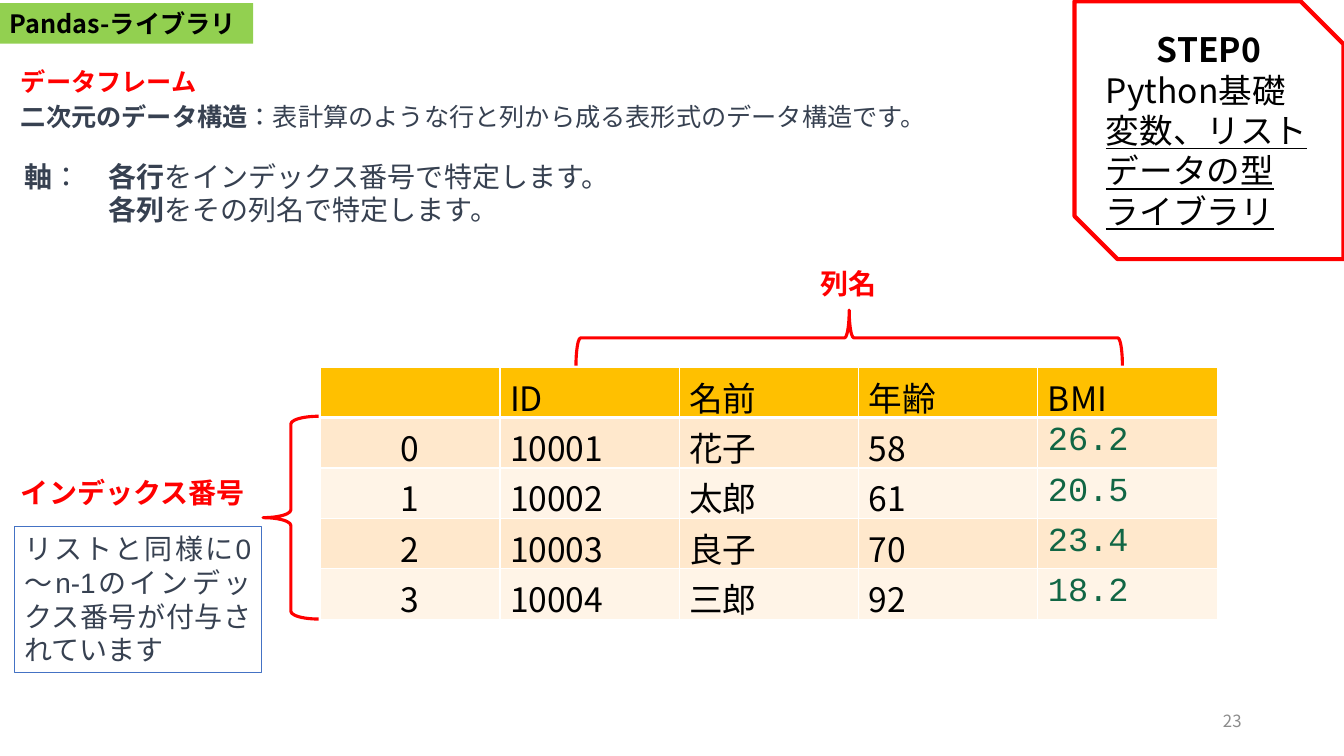
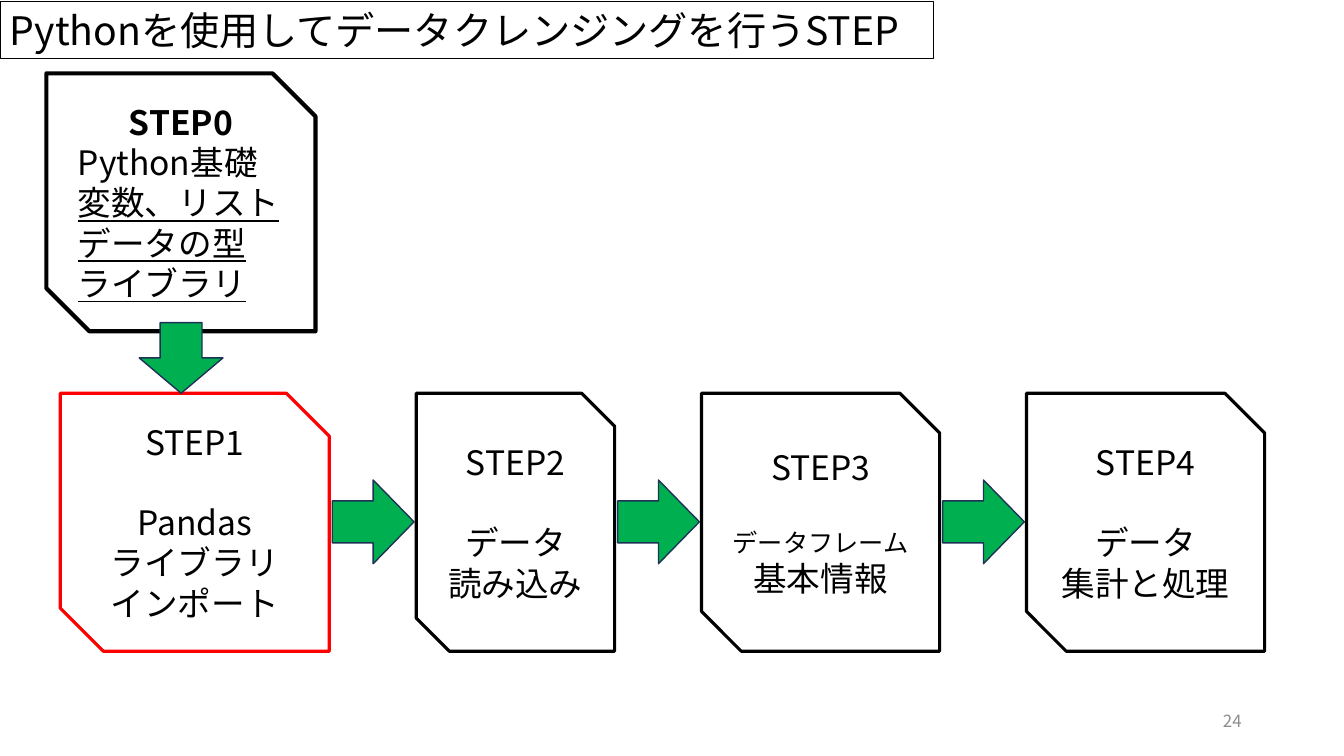
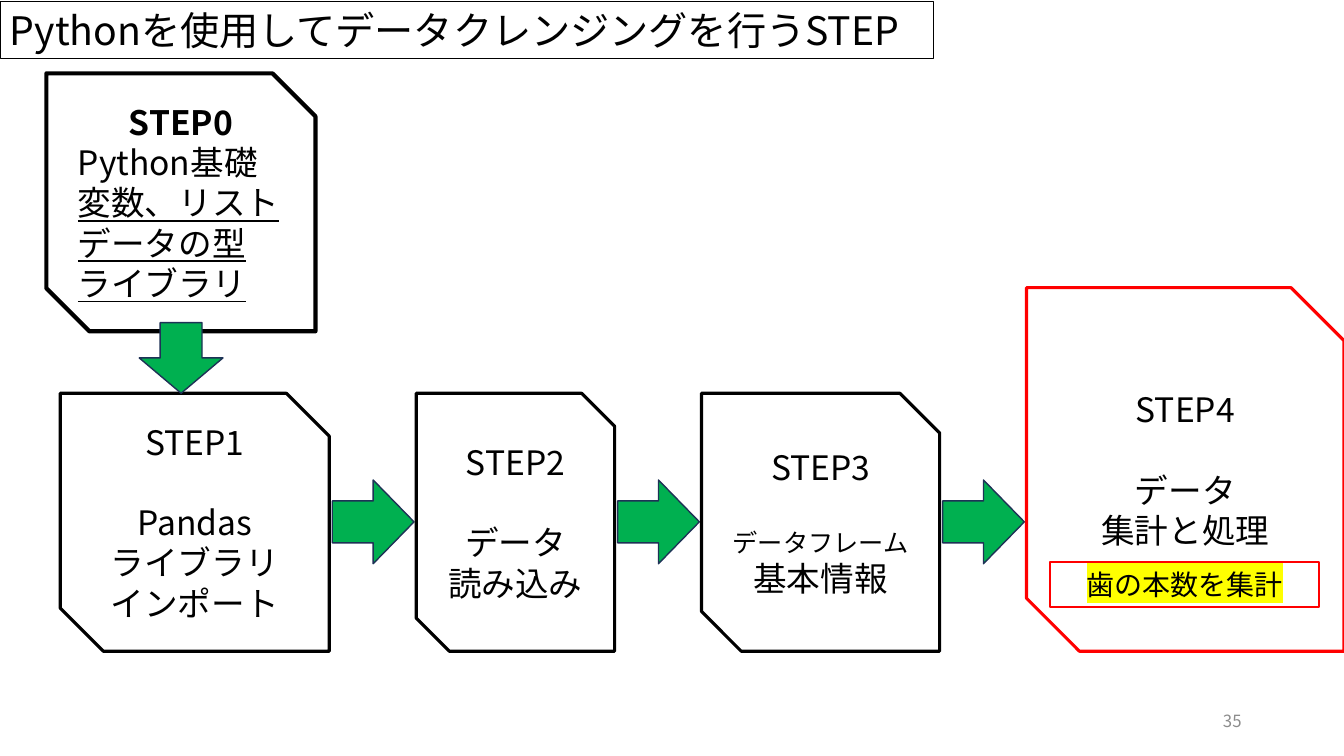
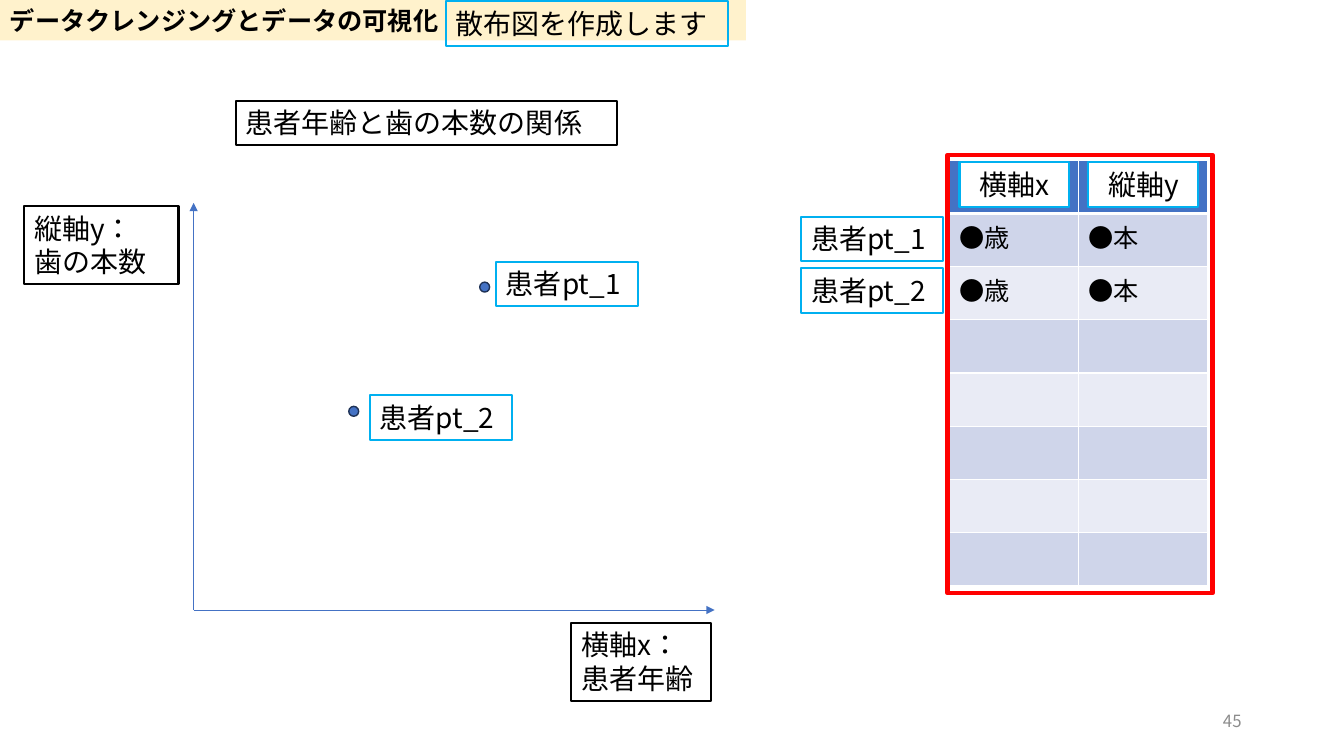
from pptx import Presentation
from pptx.dml.color import RGBColor
from pptx.enum.lang import MSO_LANGUAGE_ID
from pptx.enum.shapes import MSO_CONNECTOR, MSO_SHAPE
from pptx.enum.text import MSO_ANCHOR, MSO_AUTO_SIZE, PP_ALIGN
from pptx.oxml.ns import qn
from pptx.util import Cm, Pt
from lxml.etree import SubElement, Element

BLACK = RGBColor(0x00, 0x00, 0x00)
WHITE = RGBColor(0xFF, 0xFF, 0xFF)
RED = RGBColor(0xFF, 0x00, 0x00)
SLATE = RGBColor(0x37, 0x41, 0x51)
GRAY = RGBColor(0x8C, 0x8C, 0x8C)
BLUE = RGBColor(0x44, 0x72, 0xC4)
SKY = RGBColor(0x00, 0xB0, 0xF0)
NAVY = RGBColor(0x1E, 0x32, 0x56)
GREEN = RGBColor(0x00, 0xB0, 0x50)
LIME = RGBColor(0x92, 0xD0, 0x50)
CREAM = RGBColor(0xFF, 0xF2, 0xCC)
YELLOW = RGBColor(0xFF, 0xFF, 0x00)
CODE_GREEN = RGBColor(0x11, 0x66, 0x44)
AMBER = RGBColor(0xFF, 0xC0, 0x00)
AMBER_BANDS = (RGBColor(0xFF, 0xE8, 0xCC), RGBColor(0xFF, 0xF4, 0xE7))
BLUE_BANDS = (RGBColor(0xCF, 0xD5, 0xEA), RGBColor(0xE9, 0xEB, 0xF5))

CJK = "Noto Sans CJK JP"
LEFT, CENTER, RIGHT, JUSTIFY = PP_ALIGN.LEFT, PP_ALIGN.CENTER, PP_ALIGN.RIGHT, PP_ALIGN.JUSTIFY
BLANK_LINE = 28.8

STEP_TOP, STEP_BOTTOM, STEP_GAP = 9.91, 16.41, 2.19
STEPS = [
    (6.78, ["STEP1", "Pandas", "ライブラリ", "インポート"]),
    (5, ["STEP2", "データ", "読み込み"]),
    (6, ["STEP3", [("データフレーム", {"size": 18}), "基本情報"]]),
    (6, ["STEP4", "データ", "集計と処理"]),
]


def add_text(p, text, size=20, color=BLACK, font=CJK, bold=False, underline=False, highlight=None):
    """Add one formatted run to a paragraph."""
    r = p.add_run()
    r.text = text
    f = r.font
    f.language_id = MSO_LANGUAGE_ID.JAPANESE
    f.size, f.bold, f.underline = Pt(size), bold, underline
    f.color.rgb = color
    rPr = r._r.get_or_add_rPr()
    if highlight is not None:
        mark = SubElement(rPr, qn("a:highlight"))
        SubElement(mark, qn("a:srgbClr")).set("val", str(highlight))
    f.name = font
    SubElement(rPr, qn("a:ea")).set("typeface", CJK)


def add_para(tf, runs, align=LEFT, before=0, indent=0, **fmt):
    """Fill the first empty paragraph or add one; runs is text or a list of runs."""
    p = tf.paragraphs[0]
    if p.runs:
        p = tf.add_paragraph()
    p.alignment = align
    if before:
        p.space_before = Pt(before)
    if indent:
        p._p.get_or_add_pPr().set("marL", str(Cm(indent)))
    for run in [runs] if isinstance(runs, str) else runs:
        text, own = (run, {}) if isinstance(run, str) else run
        add_text(p, text, **{**fmt, **own})


def paint(sp, fill=None, line=None, width=1.0):
    """Set fill and outline; None means none."""
    if fill is None:
        sp.fill.background()
    else:
        sp.fill.solid()
        sp.fill.fore_color.rgb = fill
    if line is None:
        sp.line.fill.background()
    else:
        sp.line.color.rgb = line
        sp.line.width = Pt(width)


def add_box(s, at, *lines, fill=None, line=None, width=1.5, **fmt):
    """Add a text box with one paragraph per line."""
    sp = s.shapes.add_textbox(*map(Cm, at))
    paint(sp, fill, line, width)
    tf = sp.text_frame
    tf.word_wrap = True
    tf.auto_size = MSO_AUTO_SIZE.SHAPE_TO_FIT_TEXT
    for text in lines:
        add_para(tf, text, **fmt)
    return sp


def add_figure(s, kind, at, rotation=0, **look):
    """Add a preset shape without shadow."""
    sp = s.shapes.add_shape(kind, *map(Cm, at))
    sp.shadow.inherit = False
    sp.rotation = rotation
    paint(sp, **look)
    return sp


def add_arrow(s, at, rotation=0):
    """Add a green block arrow."""
    add_figure(s, MSO_SHAPE.DOWN_ARROW, at, rotation, fill=GREEN, line=NAVY)


def add_axis(s, start, end):
    """Add a thin axis line with an arrowhead."""
    c = s.shapes.add_connector(MSO_CONNECTOR.STRAIGHT, *map(Cm, start + end))
    c.line.color.rgb = BLUE
    c.line.width = Pt(0.5)
    SubElement(c.line._get_or_add_ln(), qn("a:tailEnd")).set("type", "triangle")
    SubElement(c._element.spPr, qn("a:effectLst"))


def add_step(s, at, lines, color):
    """Add a step card: heading, gap, then its lines."""
    sp = add_figure(s, MSO_SHAPE.SNIP_2_DIAG_RECTANGLE, at, fill=WHITE, line=color, width=2.25)
    sp.text_frame.word_wrap = True
    for i, text in enumerate(lines):
        add_para(sp.text_frame, text, CENTER, before=BLANK_LINE if i == 1 else 0, size=24)


def add_basics(s, left, top, color):
    """Add the STEP0 card."""
    sp = add_figure(s, MSO_SHAPE.SNIP_2_DIAG_RECTANGLE, (left, top, 6.78, 6.5),
                    fill=WHITE, line=color, width=3)
    tf = sp.text_frame
    tf.word_wrap = True
    add_para(tf, "STEP0", CENTER, size=24, bold=True)
    add_para(tf, "Python基礎", JUSTIFY, size=24)
    for topic in ("変数、リスト", "データの型", "ライブラリ"):
        add_para(tf, topic, size=24, underline=True)


def add_borders(cell, top, bottom):
    """Give a cell white borders."""
    tcPr = cell._tc.get_or_add_tcPr()
    for i, (side, width) in enumerate((("L", 1), ("R", 1), ("T", top), ("B", bottom))):
        ln = Element(qn("a:ln" + side), w=str(Pt(width)))
        fill = SubElement(ln, qn("a:solidFill"))
        SubElement(fill, qn("a:srgbClr")).set("val", str(WHITE))
        tcPr.insert(i, ln)


def add_grid(s, left, top, col_width, row_height, rows, head, bands, style):
    """Add a banded table; style gives the text format for a row and column."""
    n, m = len(rows), len(rows[0])
    table = s.shapes.add_table(n, m, Cm(left), Cm(top), Cm(col_width * m), Cm(row_height * n)).table
    for col in table.columns:
        col.width = Cm(col_width)
    for i, row in enumerate(rows):
        table.rows[i].height = Cm(row_height)
        for j, text in enumerate(row):
            cell = table.cell(i, j)
            cell.fill.solid()
            cell.fill.fore_color.rgb = bands[(i - 1) % 2] if i else head
            add_borders(cell, 3 if i == 1 else 1, 1 if i else 3)
            if text:
                add_para(cell.text_frame, text, **style(i, j))


def new_slide(prs, number):
    """Add a blank slide with its number."""
    s = prs.slides.add_slide(prs.slide_layouts[6])
    sp = s.shapes.add_textbox(Cm(23.92), Cm(17.66), Cm(7.62), Cm(1.01))
    sp.text_frame.vertical_anchor = MSO_ANCHOR.MIDDLE
    sp.text_frame.word_wrap = True
    add_para(sp.text_frame, str(number), RIGHT, size=12, color=GRAY)
    return s


def patient_style(i, j):
    """Format the cells of the patient table."""
    if i and j == 4:
        return {"size": 24, "font": "Courier New", "color": CODE_GREEN}
    return {"size": 24, "align": CENTER if j == 0 else LEFT}


def data_frame_slide(prs):
    """Explain the data frame with a labelled table."""
    s = new_slide(prs, 23)
    body = {"font": "Arial", "color": SLATE}
    label = {"font": "Arial", "color": RED, "bold": True}
    strong = {"bold": True}
    add_box(s, (0, 0.08, 6.38, 1.02), "Pandas-ライブラリ", fill=LIME, size=18, bold=True)
    add_box(s, (0.28, 1.55, 6.1, 1.02), "データフレーム", size=18, **label)
    add_box(s, (0.28, 2.44, 24.03, 1.02),
            [("二次元のデータ構造", strong), "：表計算のような行と列から成る表形式のデータ構造です。"],
            size=18, **body)
    axes = add_box(s, (0.36, 3.89, 15.32, 1.96),
                   [("軸", strong), "：　", ("各行", strong), "をインデックス番号で特定します。"],
                   align=JUSTIFY, **body)
    add_para(axes.text_frame, [("各列", strong), "をその列名で特定します。"],
             JUSTIFY, indent=2.12, **body)
    add_box(s, (20.42, 6.6, 2.08, 1.12), "列名", **label)
    add_box(s, (0.28, 11.86, 6.58, 1.12), "インデックス番号", **label)
    add_box(s, (0.36, 13.28, 6.22, 3.68), "リストと同様に0～n-1のインデックス番号が付与されています",
            line=BLUE, width=0.75, align=JUSTIFY, **body)
    rows = [
        ("", "ID", "名前", "年齢", "BMI"),
        ("0", "10001", "花子", "58", "26.2"),
        ("1", "10002", "太郎", "61", "20.5"),
        ("2", "10003", "良子", "70", "23.4"),
        ("3", "10004", "三郎", "92", "18.2"),
    ]
    add_grid(s, 8.08, 9.25, 4.52, 1.27, rows, AMBER, AMBER_BANDS, patient_style)
    add_figure(s, MSO_SHAPE.LEFT_BRACE, (20.7, 1.63, 1.4, 13.77), 90, line=RED, width=2.25)
    brace = add_figure(s, MSO_SHAPE.LEFT_BRACE, (6.63, 10.49, 1.4, 5.11), line=RED, width=2.25)
    brace.adjustments[0] = 0.14
    add_basics(s, 27.08, 0.03, RED)


def steps_slide(prs, number, current):
    """Show the steps with the current one in red; a current STEP4 is enlarged."""
    s = new_slide(prs, number)
    add_box(s, (0, 0.03, 23.52, 1.45), "Pythonを使用してデータクレンジングを行うSTEP",
            fill=WHITE, line=BLACK, width=0.5, size=28, align=JUSTIFY)
    left = 1.52
    for i, (width, lines) in enumerate(STEPS, 1):
        top = STEP_TOP
        if i == current == 4:
            top, width = 7.25, 8
        add_step(s, (left, top, width, STEP_BOTTOM - top), lines, RED if i == current else BLACK)
        left += width
        if i < len(STEPS):
            add_arrow(s, (left + 0.05, 12.12, 2.11, 2.06), 270)
        left += STEP_GAP
    add_basics(s, 1.17, 1.85, BLACK)
    add_arrow(s, (3.51, 8.13, 2.11, 1.78))
    return s


def scatter_slide(prs):
    """Sketch a scatter plot next to its table."""
    s = new_slide(prs, 45)
    add_box(s, (0, 0, 18.8, 1.02), "データクレンジングとデータの可視化", fill=CREAM, size=18, bold=True)
    add_box(s, (11.23, 0.03, 7.11, 1.12), "散布図を作成します", line=SKY)
    origin = (4.88, 15.37)
    add_axis(s, origin, (18.01, 15.37))
    add_axis(s, origin, (4.88, 5.11))
    add_box(s, (14.4, 15.7, 3.53, 1.96), "横軸x：", "患者年齢", line=BLACK)
    add_box(s, (0.61, 5.2, 3.89, 1.96), "縦軸y：", "歯の本数", line=BLACK)
    add_box(s, (5.94, 2.54, 9.6, 1.12), "患者年齢と歯の本数の関係", line=BLACK)
    for left, top in ((12.09, 7.11), (8.79, 10.24)):
        add_figure(s, MSO_SHAPE.OVAL, (left, top, 0.25, 0.25), fill=BLUE, line=NAVY)
    rows = [("", "")] + [("●歳", "●本")] * 2 + [("", "")] * 5
    add_grid(s, 23.93, 4.04, 3.25, 1.34, rows, BLUE, BLUE_BANDS, lambda i, j: {"size": 18})
    for name, *places in (("患者pt_1", (12.5, 6.6), (20.19, 5.46)),
                          ("患者pt_2", (9.32, 9.96), (20.19, 6.76))):
        for left, top in places:
            add_box(s, (left, top, 3.58, 1.12), name, line=SKY)
    for j, name in enumerate(("横軸x", "縦軸y")):
        add_box(s, (24.18 + 3.25 * j, 4.09, 2.77, 1.12), name, fill=WHITE, line=SKY, align=CENTER)
    add_figure(s, MSO_SHAPE.RECTANGLE, (23.88, 3.9, 6.68, 11.05), line=RED, width=3)


def main():
    """Build the deck."""
    prs = Presentation()
    prs.slide_width, prs.slide_height = Cm(33.87), Cm(19.05)
    data_frame_slide(prs)
    steps_slide(prs, 24, 1)
    s = steps_slide(prs, 35, 4)
    add_box(s, (26.47, 14.17, 6.78, 1.12), "歯の本数を集計", line=RED, align=CENTER, highlight=YELLOW)
    scatter_slide(prs)
    prs.save("out.pptx")


if __name__ == "__main__":
    main()
